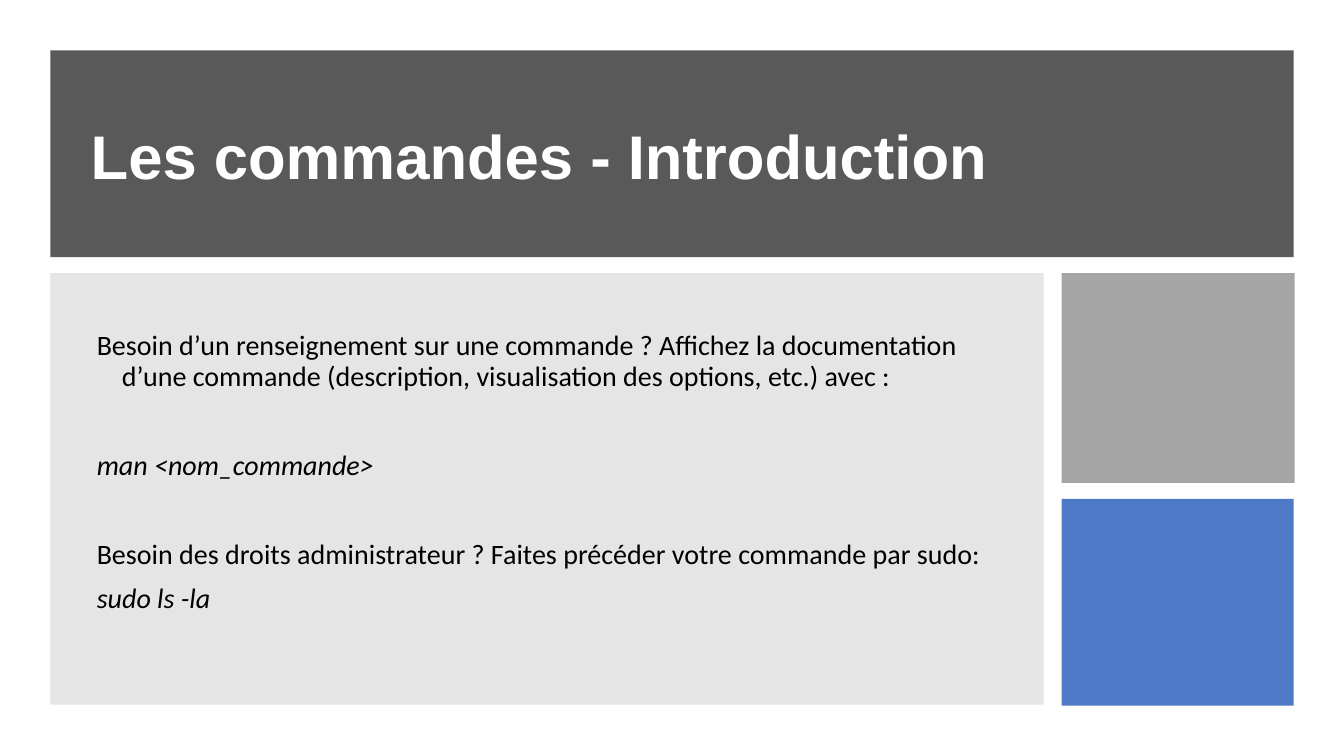
from dataclasses import dataclass

from lxml.etree import SubElement
from pptx import Presentation
from pptx.dml.color import RGBColor
from pptx.enum.shapes import MSO_SHAPE
from pptx.enum.text import MSO_ANCHOR, MSO_AUTO_SIZE, PP_ALIGN
from pptx.oxml.ns import qn
from pptx.util import Inches, Pt


@dataclass
class Panel:
    left: float
    top: float
    width: float
    height: float
    color: str
    opacity: int = 100


@dataclass
class Entry:
    text: str
    space_before: int = 10
    italic: bool = False


GROUP_GAP = 42  # one empty line plus the normal paragraph spacing

PANELS = [
    Panel(0.5, 0.5, 12.33, 2.05, "595959"),
    Panel(0.5, 2.71, 9.85, 4.28, "808080", opacity=20),
    Panel(10.53, 2.71, 2.31, 2.08, "A5A5A5"),
    Panel(10.53, 4.95, 2.3, 2.05, "4472C4", opacity=95),
]

ENTRIES = [
    Entry("Besoin d’un renseignement sur une commande ? Affichez la documentation "
          "d’une commande (description, visualisation des options, etc.) avec :",
          space_before=0),
    Entry("man <nom_commande>", GROUP_GAP, italic=True),
    Entry("Besoin des droits administrateur ? Faites précéder votre commande par sudo:",
          GROUP_GAP),
    Entry("sudo ls -la", italic=True),
]


def rgb(color: str) -> RGBColor:
    return RGBColor.from_string(color)


def draw_panel(slide, panel: Panel) -> None:
    shape = slide.shapes.add_shape(
        MSO_SHAPE.RECTANGLE, Inches(panel.left), Inches(panel.top),
        Inches(panel.width), Inches(panel.height))
    shape.shadow.inherit = False
    shape.line.fill.background()
    shape.fill.solid()
    shape.fill.fore_color.rgb = rgb(panel.color)
    if panel.opacity < 100:
        color_element = shape.fill._xPr.find(f".//{qn('a:srgbClr')}")
        SubElement(color_element, qn("a:alpha"), val=str(panel.opacity * 1000))


def place(shape, left: float, top: float, width: float, height: float) -> None:
    """Position a placeholder and bring it in front of the panels."""
    shape.left, shape.top = Inches(left), Inches(top)
    shape.width, shape.height = Inches(width), Inches(height)
    shape.text_frame.word_wrap = True
    shape.text_frame.auto_size = MSO_AUTO_SIZE.NONE
    shape._element.getparent().append(shape._element)


def format_paragraph(paragraph, font_name: str, size: int, color: str) -> None:
    paragraph.alignment = PP_ALIGN.LEFT
    paragraph.line_spacing = 0.9
    paragraph.font.name = font_name
    paragraph.font.size = Pt(size)
    paragraph.font.color.rgb = rgb(color)


def add_entry(paragraph, entry: Entry) -> None:
    paragraph.text = entry.text
    format_paragraph(paragraph, "Calibri", 20, "000000")
    paragraph.font.italic = entry.italic
    paragraph.space_before = Pt(entry.space_before)
    # Hanging indent without a bullet
    properties = paragraph._p.get_or_add_pPr()
    properties.set("marL", str(Inches(0.25)))
    properties.set("indent", str(Inches(-0.25)))
    bullet = SubElement(properties, qn("a:buNone"))
    properties.find(qn("a:defRPr")).addprevious(bullet)


presentation = Presentation()
presentation.slide_width = Inches(13.33)
presentation.slide_height = Inches(7.5)
slide = presentation.slides.add_slide(presentation.slide_layouts[1])
title, body = slide.placeholders

# Background panels
for panel in PANELS:
    draw_panel(slide, panel)

# Title
place(title, 0.8, 0.8, 11.66, 1.56)
title.text_frame.vertical_anchor = MSO_ANCHOR.MIDDLE
title_paragraph = title.text_frame.paragraphs[0]
title_paragraph.text = "Les commandes - Introduction"
format_paragraph(title_paragraph, "Arial", 44, "FFFFFF")
title_paragraph.font.bold = True

# Explanations and commands
place(body, 0.86, 3.05, 9.15, 3.61)
body.text_frame.vertical_anchor = MSO_ANCHOR.TOP
body.text_frame.margin_top = Inches(0.24)
for index, entry in enumerate(ENTRIES):
    paragraph = (body.text_frame.add_paragraph() if index
                 else body.text_frame.paragraphs[0])
    add_entry(paragraph, entry)

presentation.save("out.pptx")
